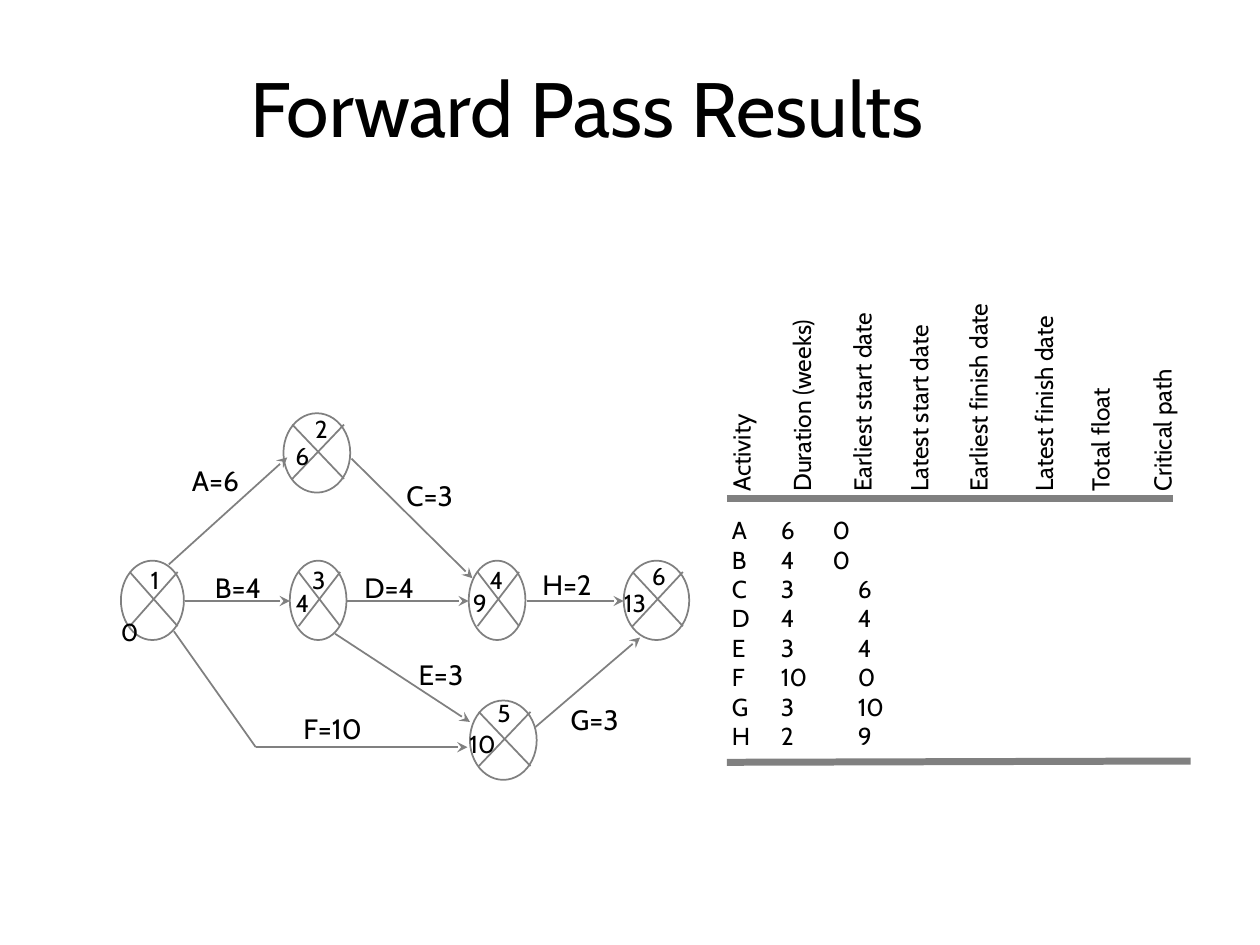
from lxml import etree
from pptx import Presentation
from pptx.dml.color import RGBColor
from pptx.enum.shapes import MSO_CONNECTOR, MSO_SHAPE
from pptx.enum.text import MSO_ANCHOR, PP_ALIGN
from pptx.oxml.ns import qn
from pptx.util import Inches, Pt

STRAIGHT, OVAL = MSO_CONNECTOR.STRAIGHT, MSO_SHAPE.OVAL
MIDDLE, CENTER, LEFT = MSO_ANCHOR.MIDDLE, PP_ALIGN.CENTER, PP_ALIGN.LEFT
FONT, BLACK, GRAY = "Cabin", "000000", "808080"
TITLE = "Forward Pass Results"

# number, left, top, width, number centre, earliest time, its centre
NODES = [
    ("1", 0.96, 4.45, 0.50, (1.23, 4.60), "0", (1.03, 5.01)),
    ("2", 2.25, 3.28, 0.53, (2.55, 3.40), "6", (2.40, 3.62)),
    ("3", 2.30, 4.45, 0.45, (2.53, 4.60), "4", (2.40, 4.78)),
    ("4", 3.72, 4.45, 0.45, (3.94, 4.60), "9", (3.81, 4.78)),
    ("5", 3.73, 5.56, 0.53, (4.00, 5.66), "10", (3.83, 5.90)),
    ("6", 4.95, 4.45, 0.52, (5.23, 4.57), "13", (5.04, 4.78)),
]
NODE_HEIGHT = 0.63
EDGES = [
    ("A=6", (1.71, 3.81), [(1.34, 4.48), (2.28, 3.63)]),
    ("B=4", (1.89, 4.66), [(1.47, 4.77), (2.30, 4.77)]),
    ("C=3", (3.41, 3.93), [(2.79, 3.64), (3.75, 4.59)]),
    ("D=4", (3.09, 4.66), [(2.75, 4.77), (3.72, 4.77)]),
    ("E=3", (3.50, 5.35), [(2.66, 5.03), (3.73, 5.73)]),
    ("F=10", (2.64, 5.78), [(1.38, 5.01), (2.03, 5.93), (3.71, 5.93)]),
    ("G=3", (4.72, 5.71), [(4.25, 5.77), (5.08, 5.06)]),
    ("H=2", (4.50, 4.64), [(4.18, 4.77), (4.95, 4.77)]),
]
HEADERS = [
    ("Activity", 5.88), ("Duration (weeks)", 6.36),
    ("Earliest start date", 6.84), ("Latest start date", 7.29),
    ("Earliest finish date", 7.76), ("Latest finish date", 8.28),
    ("Total float", 8.73), ("Critical path", 9.22),
]
HEADER_LENGTH, HEADER_BOTTOM = 2.0, 4.0
# activity, duration, earliest start, tab stop of the start
ROWS = [
    ("A", 6, 0, 0.8), ("B", 4, 0, 0.8), ("C", 3, 6, 1.0), ("D", 4, 4, 1.0),
    ("E", 3, 4, 1.0), ("F", 10, 0, 1.0), ("G", 3, 10, 1.0), ("H", 2, 9, 1.0),
]
DURATION_TAB = 0.39
RULES = [((5.77, 3.96), (9.31, 3.96)), ((5.77, 6.05), (9.45, 6.04))]


def color(value):
    return RGBColor.from_string(value)


def style(para, size, align):
    para.alignment = align
    para.font.name = FONT
    para.font.size = Pt(size)
    para.font.color.rgb = color(BLACK)


def add_line(shapes, start, end, width=1, arrow=False):
    line = shapes.add_connector(STRAIGHT, *map(Inches, start + end))
    line.line.color.rgb = color(GRAY)
    line.line.width = Pt(width)
    if arrow:
        etree.SubElement(line.line._get_or_add_ln(), qn("a:tailEnd"), type="stealth")
    etree.SubElement(line._element.spPr, qn("a:effectLst"))


def add_label(shapes, text, center, size, width=0.7, align=CENTER):
    height = 0.34
    left, top = center[0] - width / 2, center[1] - height / 2
    box = shapes.add_textbox(*map(Inches, (left, top, width, height)))
    frame = box.text_frame
    frame.word_wrap = False
    frame.vertical_anchor = MIDDLE
    frame.text = text
    style(frame.paragraphs[0], size, align)
    return box


def add_node(shapes, number, left, top, width, number_at, earliest, earliest_at):
    node = shapes.add_group_shape().shapes
    circle = node.add_shape(OVAL, *map(Inches, (left, top, width, NODE_HEIGHT)))
    circle.shadow.inherit = False
    circle.fill.background()
    circle.line.color.rgb = color(GRAY)
    circle.line.width = Pt(1)
    near, far = left + 0.07, left + width - 0.05
    upper, lower = top + 0.09, top + 0.52
    add_line(node, (far, upper), (near, lower))
    add_line(node, (near, upper), (far, lower))
    add_label(node, number, number_at, 14)
    add_label(node, earliest, earliest_at, 14)


def add_rows(shapes):
    box = shapes.add_textbox(*map(Inches, (5.71, 4.04, 2.2, 1.97)))
    frame = box.text_frame
    frame.word_wrap = True
    for index, (activity, duration, start, start_tab) in enumerate(ROWS):
        para = frame.add_paragraph() if index else frame.paragraphs[0]
        para.text = f"{activity}\t{duration}\t{start}"
        tabs = etree.SubElement(para._p.get_or_add_pPr(), qn("a:tabLst"))
        for stop in (DURATION_TAB, start_tab):
            etree.SubElement(tabs, qn("a:tab"), pos=str(Inches(stop)), algn="l")
        style(para, 14, LEFT)


def main():
    """Build the forward pass slide and save it."""
    deck = Presentation()
    deck.slide_width, deck.slide_height = Inches(10), Inches(7.5)
    page = deck.slides.add_slide(deck.slide_layouts[5])
    shapes = page.shapes

    title = shapes.title
    title.left, title.top, title.width, title.height = map(Inches, (0.41, 0.22, 8.5, 1.25))
    title.text_frame.text = TITLE
    title.text_frame.vertical_anchor = MIDDLE
    style(title.text_frame.paragraphs[0], 44, CENTER)

    for node in NODES:
        add_node(shapes, *node)
    for label, center, points in EDGES:
        add_label(shapes, label, center, 16)
        for start, end in zip(points, points[1:]):
            add_line(shapes, start, end, arrow=end == points[-1])

    add_rows(shapes)
    for start, end in RULES:
        add_line(shapes, start, end, width=4)
    for text, x in HEADERS:
        center = (x, HEADER_BOTTOM - HEADER_LENGTH / 2)
        header = add_label(shapes, text, center, 14, HEADER_LENGTH, LEFT)
        header.text_frame.word_wrap = True
        header.rotation = 270

    deck.save("out.pptx")


if __name__ == "__main__":
    main()
